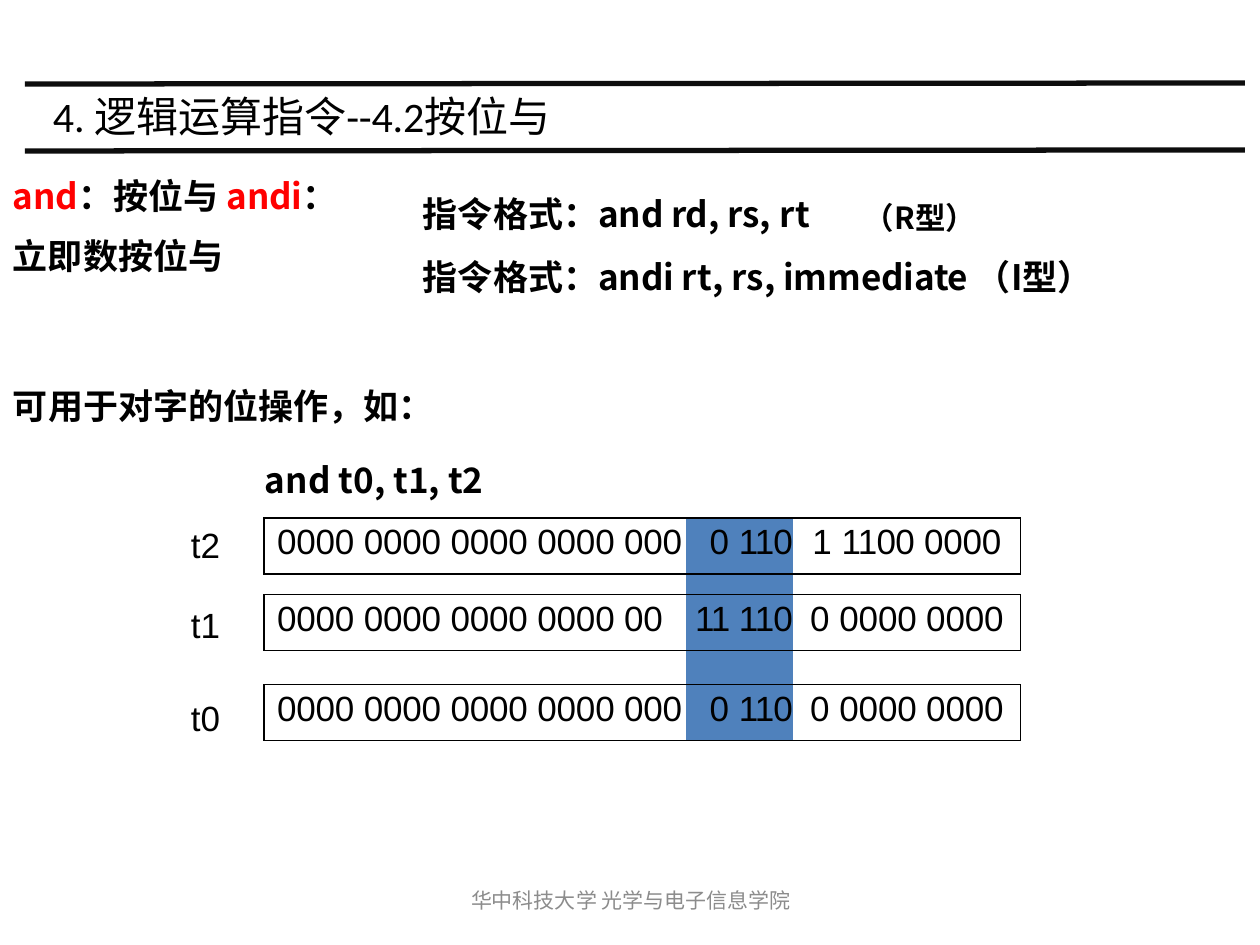
from dataclasses import dataclass

from lxml.etree import SubElement
from pptx import Presentation
from pptx.dml.color import RGBColor
from pptx.enum.shapes import MSO_CONNECTOR
from pptx.enum.text import MSO_ANCHOR, MSO_AUTO_SIZE, PP_ALIGN
from pptx.oxml.ns import qn
from pptx.util import Emu, Pt


@dataclass(frozen=True)
class Theme:
    ink: str = "000000"
    red: str = "FF0000"
    gray: str = "8C8C8C"
    rule: str = "0D0D0D"
    mask: str = "4F81BC"
    cjk: str = "Noto Sans CJK SC"
    sans: str = "Calibri"
    bits: str = "Arial"
    title: int = 24
    body: int = 20
    subscript: int = 30
    footer: int = 12


T = Theme()
L, C, R = PP_ALIGN.LEFT, PP_ALIGN.CENTER, PP_ALIGN.RIGHT
NO_STYLE = "{2D5ABB26-0587-4C30-8999-92F81FD0307C}"

HEAD = dict(font=T.sans, size=T.title)
FOOT = dict(font=T.sans, size=T.footer, color=T.gray)
BODY = dict(font=T.cjk, size=T.body, bold=True)
BITS = dict(font=T.bits, size=T.body)
RED = dict(BODY, color=T.red)
SUBSCRIPT = dict(BODY, size=T.subscript, base=-3)

# A run is (text, letter spacing in pt, style); a paragraph is (runs, format).
TITLE = [([("4. 逻辑运算指", 0, HEAD), ("令--4.2按位与", -0.1, HEAD)],
          dict(align=C, left=1, before=1))]
FOOTER = [([("华中科技大", 0, FOOT), ("学", 2.8, FOOT), ("光学与电子信息学院", 0, FOOT)],
           dict(align=C, left=1, line=Pt(13.7)))]
MEANINGS = [([("and", -0.1, RED), ("：", -0.1, BODY), ("按位与 ", 0, BODY),
              ("andi", -0.1, RED), ("：立即数按位与", 0, BODY)],
             dict(left=1, before=1, line=1.42))]
FORMATS = [
    ([("指令格式", 0, BODY), ("：and rd, ", -0.1, BODY), ("rs, ", 0, BODY),
      ("rt\t", 0.3, BODY), ("（R型）", 0, SUBSCRIPT)],
     dict(left=1, before=11.1, tab=420)),
    ([("指令格式", 0, BODY), ("：andi ", -0.1, BODY), ("rt, ", 0.1, BODY),
      ("rs,", 0, BODY), (" immediate ", -0.1, BODY), ("（I型）", 0, BODY)],
     dict(left=1, before=10.1)),
]
EXAMPLE = [
    ([("可用于对字的位操作，如：", 0, BODY)], dict(left=1, before=1.1)),
    ([("and t0, t1, t2", 0, BODY)], dict(left=253, before=18)),
] + [([(name, -0.1, BITS)], dict(left=179, before=gap))
     for name, gap in [("t2", 13), ("t1", 22), ("t0", 29)]]

# Each register: bits left of the mask, under it and right of it.
REGISTERS = [
    ([("0000 0000 0000 0000 000", -0.1)], [("0 ", 0), ("110", -0.5)],
     [("1 ", 0), ("1100 ", -0.4), ("0000", -0.1)]),
    ([("0000 0000 0000 0000 00", -0.1)], [("11 ", -0.7), ("110", -0.5)],
     [("0 ", 0), ("0000 0000", -0.1)]),
    ([("0000 0000 0000 0000 000", -0.1)], [("0 ", 0), ("110", -0.5)],
     [("0 ", 0), ("0000 0000", -0.1)]),
]
COLUMNS = [422, 107, 228]
ROWS = [56, 21, 56, 34, 56]
CELL_FORMATS = [dict(align=L, left=13, before=3), dict(align=R, before=3),
                dict(align=C, before=3)]


def px(n):
    return Emu(round(n * 914400 / 126))


def add_run(p, text, spacing, style):
    r = p.add_run()
    r.text = text
    f = r.font
    f.name, f.size, f.bold = style["font"], Pt(style["size"]), style.get("bold", False)
    f.color.rgb = RGBColor.from_string(style.get("color", T.ink))
    rPr = r._r.get_or_add_rPr()
    rPr.set("spc", str(round(spacing * 100)))
    if "base" in style:
        rPr.set("baseline", str(style["base"] * 1000))
    SubElement(rPr, qn("a:ea"), typeface=T.cjk)


def fill_text(tf, paragraphs):
    for i, (runs, fmt) in enumerate(paragraphs):
        p = tf.add_paragraph() if i else tf.paragraphs[0]
        p.alignment = fmt.get("align", L)
        p.space_before = Pt(fmt.get("before", 0))
        if "line" in fmt:
            p.line_spacing = fmt["line"]
        pPr = p._p.get_or_add_pPr()
        pPr.set("marL", str(px(fmt.get("left", 0))))
        pPr.set("indent", "0")
        if "tab" in fmt:
            tabs = SubElement(pPr, qn("a:tabLst"))
            SubElement(tabs, qn("a:tab"), pos=str(px(fmt["tab"])), algn="l")
        for run in runs:
            add_run(p, *run)


def set_text_box(s, box, paragraphs, top=0, anchor=MSO_ANCHOR.TOP):
    s.left, s.top, s.width, s.height = map(px, box)
    tf = s.text_frame
    tf.word_wrap = True
    tf.auto_size = MSO_AUTO_SIZE.SHAPE_TO_FIT_TEXT
    tf.vertical_anchor = anchor
    tf.margin_left = tf.margin_right = tf.margin_bottom = 0
    tf.margin_top = px(top)
    fill_text(tf, paragraphs)


def set_borders(cell, sides):
    """Draw the given sides, in schema order, before the cell's fill is set."""
    tcPr = cell._tc.get_or_add_tcPr()
    for side in sides:
        ln = SubElement(tcPr, qn(f"a:ln{side}"), w=str(Pt(0.75)))
        fill = SubElement(ln, qn("a:solidFill"))
        SubElement(fill, qn("a:srgbClr"), val=T.ink)


def add_registers(slide, left, top):
    frame = slide.shapes.add_table(len(ROWS), len(COLUMNS), px(left), px(top),
                                   px(sum(COLUMNS)), px(sum(ROWS)))
    table = frame.table
    table.first_row = table.horz_banding = False
    table._tbl.tblPr.find(qn("a:tableStyleId")).text = NO_STYLE
    for column, width in zip(table.columns, COLUMNS):
        column.width = px(width)
    for i, height in enumerate(ROWS):
        table.rows[i].height = px(height)
        for j, sides in enumerate(["LTB", "TB", "RTB"]):
            cell = table.cell(i, j)
            cell.margin_left = cell.margin_right = cell.margin_bottom = 0
            cell.margin_top = 0 if i % 2 else px(5)
            if i % 2:
                SubElement(cell.text_frame.paragraphs[0]._p,
                           qn("a:endParaRPr"), sz="800")
            else:
                set_borders(cell, sides)
                runs = [(*run, BITS) for run in REGISTERS[i // 2][j]]
                fill_text(cell.text_frame, [(runs, CELL_FORMATS[j])])
            if j == 1:
                cell.fill.solid()
                cell.fill.fore_color.rgb = RGBColor.from_string(T.mask)
            else:
                cell.fill.background()


def add_rule(slide, y):
    s = slide.shapes.add_connector(MSO_CONNECTOR.STRAIGHT,
                                   px(25), px(y), px(1245), px(y - 1))
    s.line.color.rgb = RGBColor.from_string(T.rule)
    s.line.width = Pt(3)
    SubElement(s._element.spPr, qn("a:effectLst"))


def main():
    prs = Presentation()
    prs.slide_width, prs.slide_height = px(1260), px(945)
    slide = prs.slides.add_slide(prs.slide_layouts[5])

    set_text_box(slide.shapes.title, (35, 88, 532, 54), TITLE, 1, MSO_ANCHOR.MIDDLE)
    add_registers(slide, 264, 518)
    for box, paragraphs, top, anchor in [
        ((431, 876, 399, 50), FOOTER, 0, MSO_ANCHOR.MIDDLE),
        ((12, 156, 326, 122), MEANINGS, 1, MSO_ANCHOR.TOP),
        ((12, 384, 547, 355), EXAMPLE, 1, MSO_ANCHOR.TOP),
        ((422, 156, 682, 122), FORMATS, 19, MSO_ANCHOR.TOP),
    ]:
        set_text_box(slide.shapes.add_textbox(0, 0, 0, 0), box, paragraphs, top, anchor)
    for y in (151, 84):
        add_rule(slide, y)
    prs.save("out.pptx")


if __name__ == "__main__":
    main()
